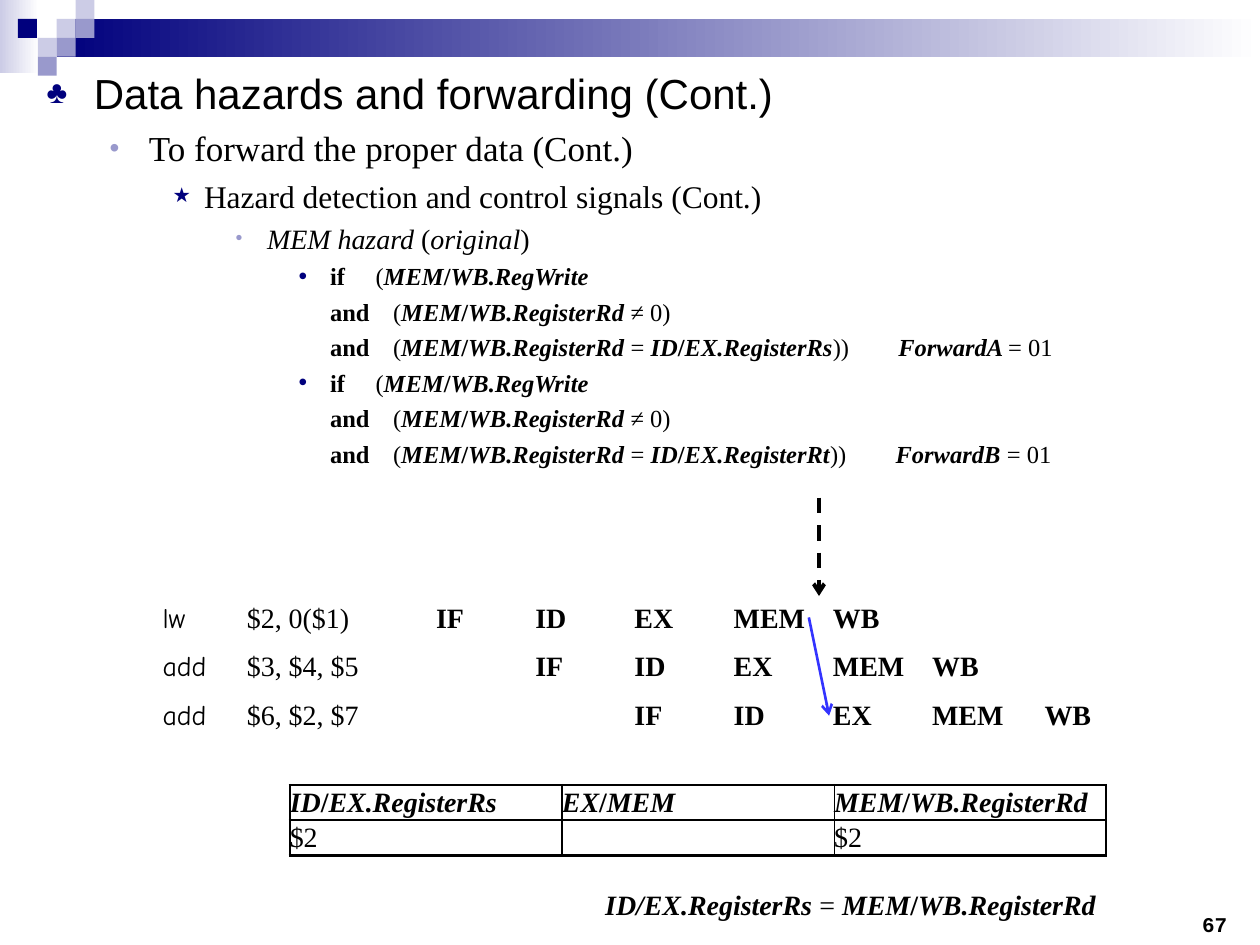
from lxml import etree
from pptx import Presentation
from pptx.dml.color import RGBColor
from pptx.enum.dml import MSO_LINE
from pptx.enum.shapes import MSO_CONNECTOR, MSO_SHAPE
from pptx.enum.text import MSO_ANCHOR, MSO_AUTO_SIZE, PP_ALIGN
from pptx.oxml.ns import qn
from pptx.util import Pt

RECT = MSO_SHAPE.RECTANGLE
STRAIGHT = MSO_CONNECTOR.STRAIGHT
DASH = MSO_LINE.DASH
MIDDLE = MSO_ANCHOR.MIDDLE
NO_FIT = MSO_AUTO_SIZE.NONE
LEFT, CENTER = PP_ALIGN.LEFT, PP_ALIGN.CENTER
CONTENT_LAYOUT = 1

SERIF, SANS, MONO, COMIC = "Times New Roman", "Arial", "Courier New", "Comic Neue"
BLACK, WHITE, NAVY, LILAC, PALE, BLUE = (
    "000000", "FFFFFF", "00007D", "9999CC", "CCCCE6", "3333FF")

# level: left margin, hanging indent, size, font, bullet, bullet colour, bullet size %
LEVELS = [
    (27, 27, 24, SANS, "♣", NAVY, 75),
    (58.5, 22.5, 20, SERIF, "•", LILAC, 80),
    (90, 18, 18, SERIF, "★", NAVY, 65),
    (126, 18, 16, SERIF, "•", LILAC, 70),
    (162, 18, 14, SERIF, "•", NAVY, 100),
]


def rgb(value):
    """Turn a hex string into a colour."""
    return RGBColor.from_string(value)


def add_run(p, text, size, font=SERIF, bold=False, italic=False):
    """Append one formatted black run."""
    r = p.add_run()
    r.text = text
    r.font.size, r.font.name = Pt(size), font
    r.font.bold, r.font.italic = bold, italic
    r.font.color.rgb = rgb(BLACK)


def add_rich(p, text, size, font=SERIF):
    """Append runs: ^ toggles bold, and _ toggles italic within a bold or plain part."""
    for i, part in enumerate(text.split("^")):
        for j, piece in enumerate(part.split("_")):
            if piece:
                add_run(p, piece, size, font, i % 2 == 1, j % 2 == 1)


def set_tabs(p, stops):
    """Give a paragraph left tab stops."""
    tabs = etree.SubElement(p._p.get_or_add_pPr(), qn("a:tabLst"))
    for stop in stops:
        etree.SubElement(tabs, qn("a:tab"), pos=str(int(Pt(stop))), algn="l")


def set_bullet(p, char, color, percent):
    """Give a paragraph a coloured bullet, or none when char is empty."""
    pPr = p._p.get_or_add_pPr()
    if not char:
        etree.SubElement(pPr, qn("a:buNone"))
        return
    bu_color = etree.SubElement(pPr, qn("a:buClr"))
    etree.SubElement(bu_color, qn("a:srgbClr"), val=color)
    etree.SubElement(pPr, qn("a:buSzPct"), val=str(percent * 1000))
    etree.SubElement(pPr, qn("a:buFont"), typeface=SANS)
    etree.SubElement(pPr, qn("a:buChar"), char=char)


def add_text_box(s, x, y, w, h):
    """Add a wrapping text box without insets and return its frame."""
    tf = s.shapes.add_textbox(Pt(x), Pt(y), Pt(w), Pt(h)).text_frame
    tf.word_wrap = True
    tf.margin_left = tf.margin_top = tf.margin_right = tf.margin_bottom = 0
    return tf


def add_block(s, x, y, w, h, color, end=None):
    """Add a borderless rectangle, fading to the end colour if one is given."""
    sp = s.shapes.add_shape(RECT, Pt(x), Pt(y), Pt(w), Pt(h))
    sp.shadow.inherit = False
    sp.line.fill.background()
    if end:
        sp.fill.gradient()
        sp.fill.gradient_angle = 0
        for stop, value in zip(sp.fill.gradient_stops, (color, end)):
            stop.color.rgb = rgb(value)
    else:
        sp.fill.solid()
        sp.fill.fore_color.rgb = rgb(color)


def add_ribbon(s, x, y, w):
    """Draw the fading band and its mosaic of squares."""
    cell = 10.8
    add_block(s, x, y, 22.3, 41.8, PALE, WHITE)
    add_block(s, x + 3 * cell, y + cell, w - 3 * cell, 2 * cell, NAVY, WHITE)
    mosaic = [(3, 1, PALE), (4, 0, PALE), (4, 1, LILAC), (2, 2, PALE),
              (0.95, 1, NAVY), (3, 2, LILAC), (2, 3, LILAC)]
    for col, row, color in mosaic:
        add_block(s, x + col * cell, y + row * cell, cell, cell, color)


def add_arrow(s, x1, y1, x2, y2, color, width, dash=None):
    """Draw a straight arrow."""
    line = s.shapes.add_connector(STRAIGHT, Pt(x1), Pt(y1), Pt(x2), Pt(y2))
    line.line.color.rgb = rgb(color)
    line.line.width = Pt(width)
    if dash:
        line.line.dash_style = dash
    etree.SubElement(line.line._get_or_add_ln(), qn("a:tailEnd"), type="arrow")
    etree.SubElement(line._element.spPr, qn("a:effectLst"))


def hazard_test(register, signal):
    """Return the three outline lines of one forwarding condition."""
    stage = "(^_MEM_/_WB."
    return [
        (4, True, f"^if\t^{stage}RegWrite_^"),
        (4, False, f"\t^and\t^{stage}RegisterRd _^≠ 0)"),
        (4, False, f"\t^and\t^{stage}RegisterRd _^= ^_ID_/_EX.{register}_^))"
                   f"        ^_{signal} _^= 01"),
    ]


def add_outline(s, x, y, w, h):
    """Fill the body placeholder with the bulleted outline."""
    body = s.placeholders[1]
    body.left, body.top, body.width, body.height = Pt(x), Pt(y), Pt(w), Pt(h)
    tf = body.text_frame
    tf.auto_size = NO_FIT
    lines = [
        (0, True, "Data hazards and forwarding (Cont.)"),
        (1, True, "To forward the proper data (Cont.)"),
        (2, True, "Hazard detection and control signals (Cont.)"),
        (3, True, "_MEM hazard_ (_original_)"),
        *hazard_test("RegisterRs", "ForwardA"),
        *hazard_test("RegisterRt", "ForwardB"),
    ]
    for i, (level, bulleted, text) in enumerate(lines):
        p = tf.add_paragraph() if i else tf.paragraphs[0]
        margin, hang, size, font, char, color, percent = LEVELS[level]
        p.level = level
        p.alignment = LEFT
        p.space_before = Pt(0.25 * size if i else 0)
        pPr = p._p.get_or_add_pPr()
        pPr.set("marL", str(int(Pt(margin))))
        pPr.set("indent", str(int(Pt(-hang))))
        set_bullet(p, char if bulleted else "", color, percent)
        if level == 4:
            set_tabs(p, [188])
        add_rich(p, text, size, font)


def add_pipeline(s, x, y, w, h):
    """Draw the pipeline timing with its two arrows."""
    add_arrow(s, x + 375.1, y - 58.6, x + 375.1, y - 2.4, BLACK, 2.25, DASH)
    tf = add_text_box(s, x, y, w, h)
    stops = [48.2] + [156.3 + 56.7 * i for i in range(6)] + [504]
    code = [("lw", "$2, 0($1)"), ("add", "$3, $4, $5"), ("add", "$6, $2, $7")]
    for i, (opcode, operands) in enumerate(code):
        p = tf.add_paragraph() if i else tf.paragraphs[0]
        p.space_before = Pt(8.7 if i else 0)
        set_tabs(p, stops)
        add_run(p, opcode + "\t", 16, COMIC)
        add_run(p, operands + "\t" * (i + 1), 16)
        add_run(p, "IF\tID\tEX\tMEM\tWB", 16, bold=True)
    add_arrow(s, x + 369.3, y + 9.8, x + 380.9, y + 66, BLUE, 1.5)


def set_borders(cell, widths):
    """Draw black cell borders; widths run left, right, top, bottom."""
    tcPr = cell._tc.get_or_add_tcPr()
    for i, (side, width) in enumerate(zip("LRTB", widths)):
        ln = etree.Element(qn(f"a:ln{side}"), w=str(int(Pt(width))))
        fill = etree.SubElement(ln, qn("a:solidFill"))
        etree.SubElement(fill, qn("a:srgbClr"), val=BLACK)
        tcPr.insert(i, ln)


def add_register_table(s, x, y, w, h):
    """Add the table of pipeline registers."""
    rows = [["^_ID_/_EX.RegisterRs_^", "^_EX_/_MEM_^", "^_MEM_/_WB.RegisterRd_^"],
            ["$2", "", "$2"]]
    table = s.shapes.add_table(2, 3, Pt(x), Pt(y), Pt(w), Pt(h)).table
    table.first_row = table.horz_banding = False
    for i, row in enumerate(rows):
        for j, text in enumerate(row):
            cell = table.cell(i, j)
            cell.margin_left = cell.margin_right = cell.margin_top = cell.margin_bottom = 0
            cell.vertical_anchor = MIDDLE
            cell.fill.background()
            set_borders(cell, (0.75 if j else 1.5, 0.75 if j < 2 else 1.5, 1.5, 1.5))
            p = cell.text_frame.paragraphs[0]
            add_rich(p, text, 16)
            if not text:
                etree.SubElement(p._p, qn("a:endParaRPr"), sz="1600")


def add_caption(s, x, y, w, h, text, size, font=SERIF):
    """Add one centred line of text."""
    tf = add_text_box(s, x, y, w, h)
    tf.vertical_anchor = MIDDLE
    p = tf.paragraphs[0]
    p.alignment = CENTER
    add_rich(p, text, size, font)


def main():
    """Build and save the slide."""
    prs = Presentation()
    prs.slide_width, prs.slide_height = Pt(720), Pt(540)
    s = prs.slides.add_slide(prs.slide_layouts[CONTENT_LAYOUT])
    title = s.shapes.title._element
    title.getparent().remove(title)
    add_ribbon(s, 0, 0, 720)
    add_caption(s, 668.9, 519.8, 50.4, 16.6, "^67^", 12, MONO)
    add_outline(s, 19.4, 35, 686.2, 236.9)
    add_pipeline(s, 92.9, 343, 537.1, 77)
    add_register_table(s, 165.6, 448.6, 466.6, 40.3)
    add_caption(s, 342.7, 507, 286.6, 19.4,
                "^_ID/EX.RegisterRs _^=^_ MEM_/_WB.RegisterRd_^", 16)
    prs.save("out.pptx")


if __name__ == "__main__":
    main()
